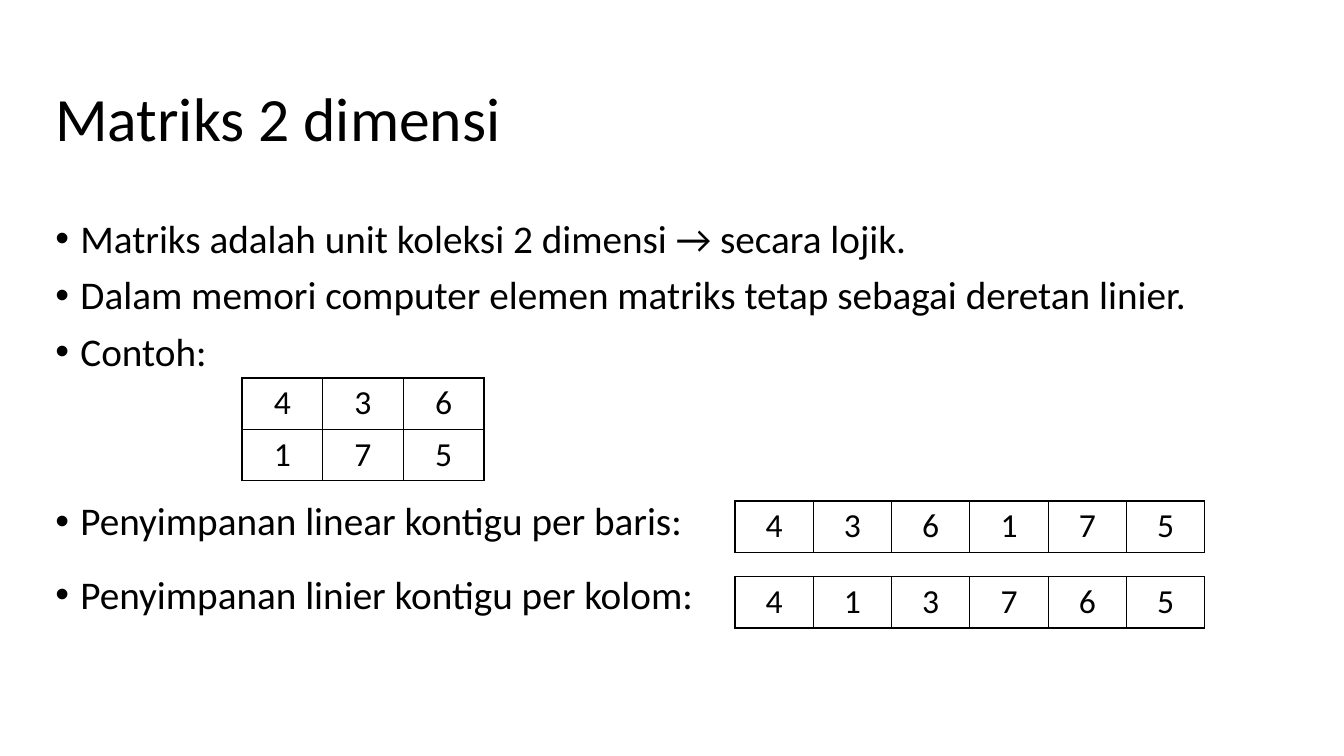
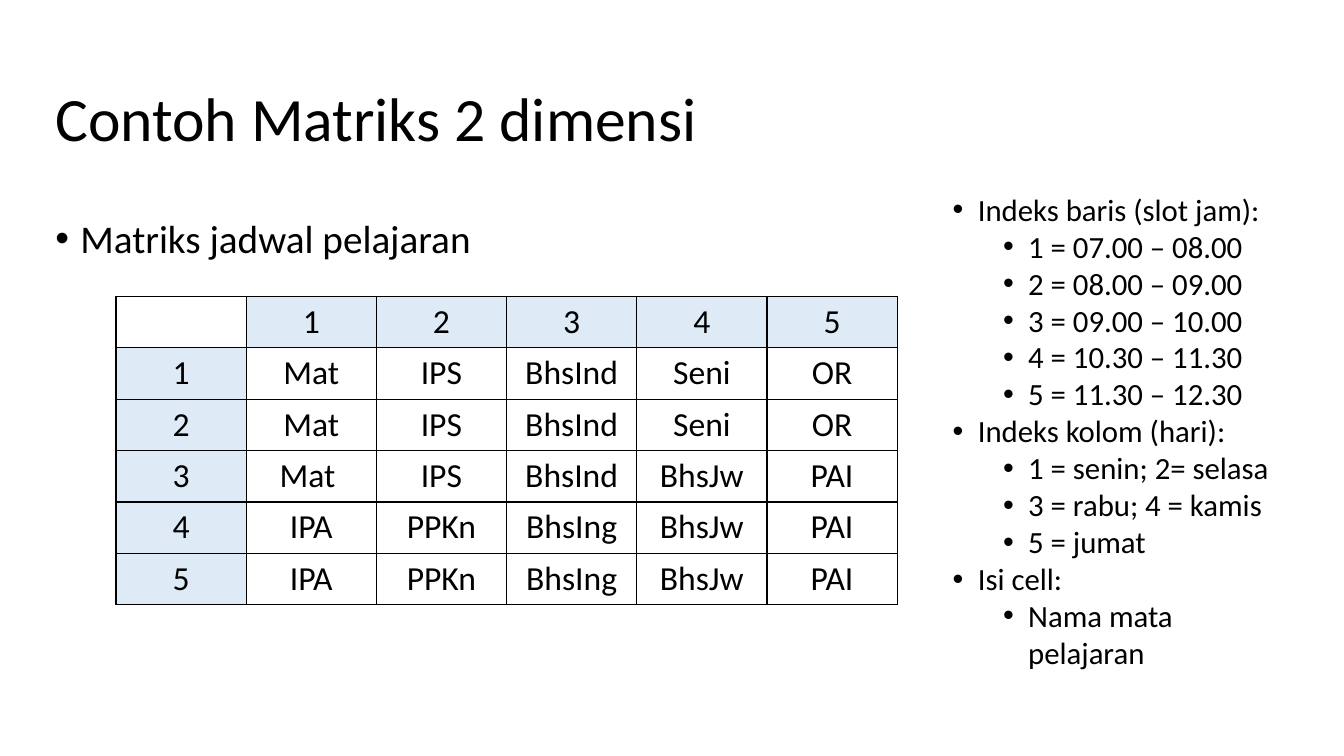
from pptx import Presentation
from pptx import util as u
from pptx.dml import color
from pptx.enum import text
from pptx.oxml import ns
from lxml import etree

PX = 9144
FONT = "Calibri"
COLORS = {"ink": "000000", "header": "DEEBF7"}
BODY_LEFT, BODY_TOP, BODY_HEIGHT = 45, 213, 476
ROW_HEIGHT = 51
BULLET_HANG = 25

MATRIX = [["4", "3", "6"], ["1", "7", "5"]]
BY_ROW = [value for row in MATRIX for value in row]
BY_COLUMN = [value for column in zip(*MATRIX) for value in column]

TIMETABLE = [
    ["", "1", "2", "3", "4", "5"],
    ["1", "Mat", "IPS", "BhsInd", "Seni", "OR"],
    ["2", "Mat", "IPS", "BhsInd", "Seni", "OR"],
    ["3", "Mat ", "IPS", "BhsInd", "BhsJw", "PAI"],
    ["4", "IPA", "PPKn", "BhsIng", "BhsJw", "PAI"],
    ["5", "IPA", "PPKn", "BhsIng", "BhsJw", "PAI"],
]

LEGEND = [
    ("Indeks baris (slot jam):", [
        "1 = 07.00 – 08.00",
        "2 = 08.00 – 09.00",
        "3 = 09.00 – 10.00",
        "4 = 10.30 – 11.30",
        "5 = 11.30 – 12.30",
    ]),
    ("Indeks kolom (hari):", [
        "1 = senin; 2= selasa",
        "3 = rabu; 4 = kamis",
        "5 = jumat",
    ]),
    ("Isi cell:", ["Nama mata pelajaran"]),
]


def px(n):
    return u.Emu(n * PX)


def rgb(name):
    return color.RGBColor.from_string(COLORS[name])


def format_runs(p, size):
    for r in p.runs:
        r.font.size = u.Pt(size)
        r.font.name = FONT
        r.font.color.rgb = rgb("ink")


def add_text_frame(s, left, top, width, height):
    tf = s.shapes.add_textbox(px(left), px(top), px(width), px(height)).text_frame
    tf.word_wrap = True
    return tf


def add_bullet(p, level):
    pPr = p._p.get_or_add_pPr()
    pPr.set("marL", str(px(BULLET_HANG + 50 * level)))
    pPr.set("indent", str(px(-BULLET_HANG)))
    etree.SubElement(pPr, ns.qn("a:buFont")).set("typeface", "Arial")
    etree.SubElement(pPr, ns.qn("a:buChar")).set("char", "•")
    p.level = level


def add_bullets(s, box, items, size):
    tf = add_text_frame(s, *box)
    for i, (line, level) in enumerate(items):
        p = tf.add_paragraph() if i else tf.paragraphs[0]
        p.text = line
        add_bullet(p, level)
        format_runs(p, size)
    return tf.paragraphs


def add_body(s, width, lines):
    box = (BODY_LEFT, BODY_TOP, width, BODY_HEIGHT)
    paragraphs = add_bullets(s, box, [(line, 0) for line in lines], 28)
    for i, p in enumerate(paragraphs):
        p.line_spacing = 0.9
        if i:
            p.space_before = u.Pt(10)
    return paragraphs


def add_titled_slide(prs, title):
    s = prs.slides.add_slide(prs.slide_layouts[6])
    tf = add_text_frame(s, BODY_LEFT, 48, 1150, 145)
    tf.vertical_anchor = text.MSO_ANCHOR.MIDDLE
    p = tf.paragraphs[0]
    p.text = title
    p.line_spacing = 0.9
    format_runs(p, 44)
    return s


def add_borders(cell):
    tcPr = cell._tc.get_or_add_tcPr()
    for i, side in enumerate(("lnL", "lnR", "lnT", "lnB")):
        ln = etree.Element(ns.qn("a:" + side), w=str(u.Pt(1)))
        fill = etree.SubElement(ln, ns.qn("a:solidFill"))
        etree.SubElement(fill, ns.qn("a:srgbClr")).set("val", COLORS["ink"])
        tcPr.insert(i, ln)


def fill_cell(cell, value, is_header):
    cell.text = value
    p = cell.text_frame.paragraphs[0]
    p.alignment = text.PP_ALIGN.CENTER
    format_runs(p, 24)
    if is_header:
        cell.fill.solid()
        cell.fill.fore_color.rgb = rgb("header")
    else:
        cell.fill.background()
    add_borders(cell)


def add_grid(s, left, top, width, rows, has_headers=False):
    n_rows, n_cols = len(rows), len(rows[0])
    table = s.shapes.add_table(n_rows, n_cols, px(left), px(top),
                               px(width), px(ROW_HEIGHT * n_rows)).table
    table.first_row = False
    table.horz_banding = False
    for i, row in enumerate(rows):
        for j, value in enumerate(row):
            is_header = has_headers and (i == 0) != (j == 0)
            fill_cell(table.cell(i, j), value, is_header)


def build_storage_slide(prs):
    s = add_titled_slide(prs, "Matriks 2 dimensi")
    paragraphs = add_body(s, 1247, [
        "Matriks adalah unit koleksi 2 dimensi → secara lojik.",
        "Dalam memori computer elemen matriks tetap sebagai deretan linier.",
        "Contoh:",
        "Penyimpanan linear kontigu per baris:",
        "Penyimpanan linier kontigu per kolom:",
    ])
    paragraphs[3].space_before = u.Pt(91)
    paragraphs[3].space_after = u.Pt(12)
    add_grid(s, 240, 375, 240, MATRIX)
    for i, sequence in enumerate((BY_ROW, BY_COLUMN)):
        add_grid(s, 729, 497 + 75 * i, 466, [sequence])


def build_timetable_slide(prs):
    s = add_titled_slide(prs, "Contoh Matriks 2 dimensi")
    add_body(s, 890, ["Matriks jadwal pelajaran"])
    add_grid(s, 115, 294, 775, TIMETABLE, has_headers=True)
    items = []
    for heading, details in LEGEND:
        items.append((heading, 0))
        items.extend((detail, 1) for detail in details)
    add_bullets(s, (935, 184, 343, 494), items, 22)


def main():
    prs = Presentation()
    prs.slide_width = px(1333)
    prs.slide_height = px(750)
    build_storage_slide(prs)
    build_timetable_slide(prs)
    prs.save("out.pptx")


if __name__ == "__main__":
    main()
